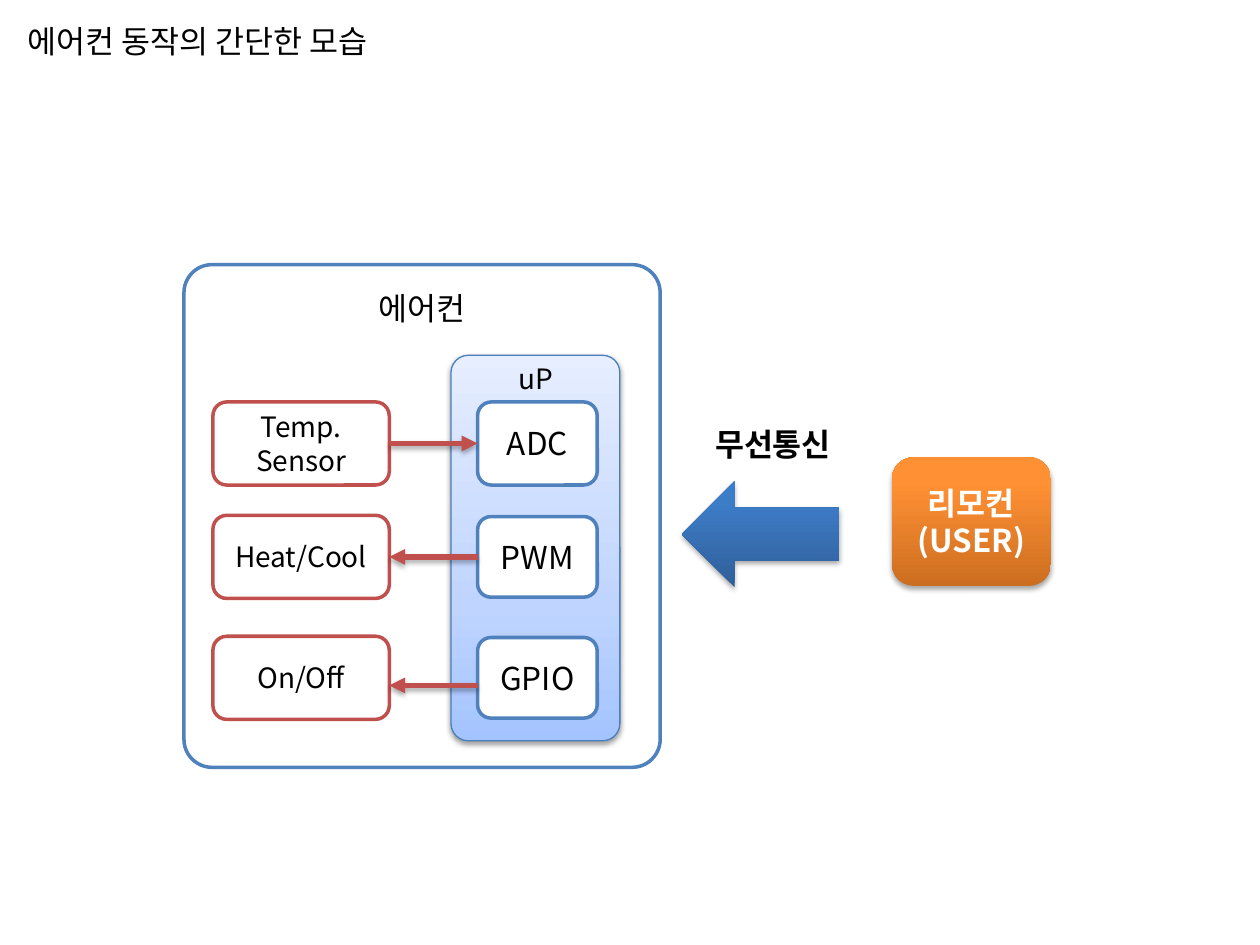
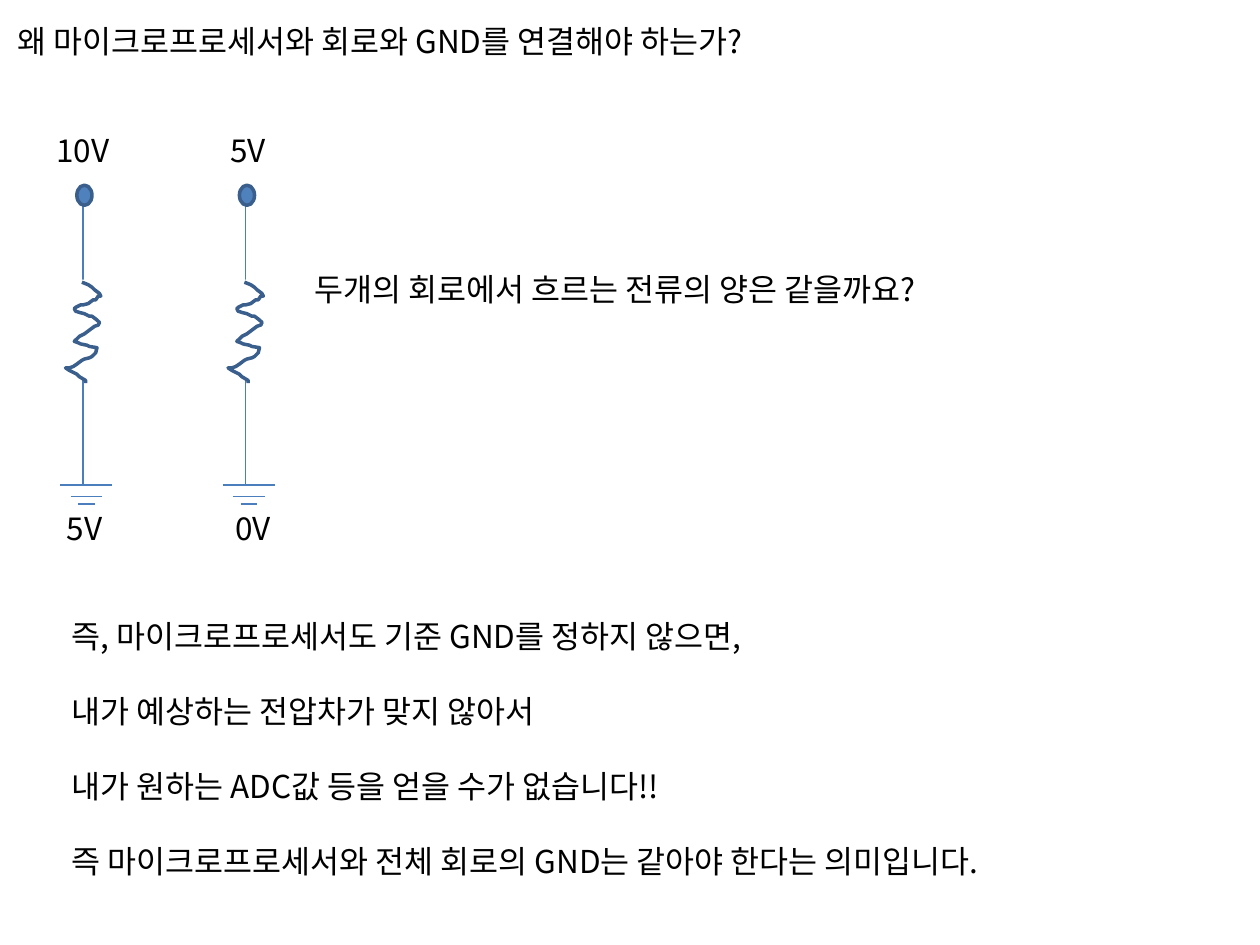
from dataclasses import dataclass

from pptx import Presentation
from pptx.dml.color import RGBColor
from pptx.enum.shapes import MSO_CONNECTOR, MSO_SHAPE
from pptx.enum.text import MSO_ANCHOR, MSO_AUTO_SIZE, PP_ALIGN
from pptx.oxml import parse_xml
from pptx.oxml.ns import nsdecls, qn
from pptx.util import Inches, Pt

ROUNDED = MSO_SHAPE.ROUNDED_RECTANGLE
RECTANGLE = MSO_SHAPE.RECTANGLE
OVAL = MSO_SHAPE.OVAL
LEFT_ARROW = MSO_SHAPE.LEFT_ARROW
STRAIGHT = MSO_CONNECTOR.STRAIGHT
LEFT, CENTER = PP_ALIGN.LEFT, PP_ALIGN.CENTER
TOP, MIDDLE = MSO_ANCHOR.TOP, MSO_ANCHOR.MIDDLE
NO_AUTOFIT = MSO_AUTO_SIZE.NONE
LEFT_SIDE, RIGHT_SIDE = 1, 3


@dataclass(frozen=True)
class Theme:
    font: str = "Noto Sans CJK KR"
    normal: float = 18
    small: float = 16
    line_ratio: float = 1.19
    black: str = "000000"
    white: str = "FFFFFF"
    blue: str = "4F81BD"
    wire: str = "4B7EBC"
    dark_blue: str = "3A5F8C"
    red: str = "C0504D"
    chip: tuple = ((0, "A4C4FF"), (35, "BFD4FF"), (100, "E6EEFF"))
    orange: tuple = ((0, "CC6E20"), (80, "FF9034"), (100, "FF9136"))
    arrow: tuple = ((0, "2F5F99"), (80, "3D7CC7"), (100, "3A7CCB"))


THEME = Theme()

RESISTOR = (
    (0.23, 0), (0.28, 0.02), (0.31, 0.04), (0.33, 0.06), (0.37, 0.09), (0.38, 0.11),
    (0.36, 0.11), (0.34, 0.14), (0.32, 0.14), (0.28, 0.17), (0.24, 0.18), (0.22, 0.18),
    (0.18, 0.2), (0.17, 0.21), (0.18, 0.23), (0.21, 0.24), (0.25, 0.25), (0.29, 0.27),
    (0.31, 0.27), (0.35, 0.3), (0.37, 0.32), (0.36, 0.34), (0.33, 0.35), (0.29, 0.38),
    (0.25, 0.41), (0.21, 0.43), (0.19, 0.45), (0.17, 0.47), (0.2, 0.48), (0.22, 0.49),
    (0.27, 0.5), (0.29, 0.51), (0.35, 0.52), (0.34, 0.56), (0.31, 0.59), (0.29, 0.6),
    (0.25, 0.61), (0.23, 0.62), (0.19, 0.65), (0.16, 0.67), (0.13, 0.68), (0.1, 0.68),
    (0.13, 0.7), (0.15, 0.71), (0.19, 0.73), (0.21, 0.75), (0.26, 0.78), (0.26, 0.8),
)


def color(value):
    return RGBColor.from_string(value)


def box(left, top, width, height):
    return [Inches(length) for length in (left, top, width, height)]


def write(shape, lines, size=THEME.normal, ink=THEME.black, bold=False,
          align=LEFT, anchor=TOP, inset=0.05, gap=0):
    frame = shape.text_frame
    frame.word_wrap = True
    frame.auto_size = NO_AUTOFIT
    frame.vertical_anchor = anchor
    frame.margin_left = frame.margin_right = Inches(0.1)
    frame.margin_top, frame.margin_bottom = Inches(inset), Inches(0.05)
    for index, line in enumerate(lines):
        paragraph = frame.add_paragraph() if index else frame.paragraphs[0]
        paragraph.alignment = align
        paragraph.line_spacing = Pt(round(size * THEME.line_ratio, 1))
        paragraph.space_before = Pt(gap if index else 0)
        run = paragraph.add_run()
        run.text = line
        run.font.size = Pt(size)
        run.font.bold = bold
        run.font.color.rgb = color(ink)
        run.font.name = THEME.font
        east_asian = parse_xml(f'<a:ea {nsdecls("a")} typeface="{THEME.font}"/>')
        run.font._element.append(east_asian)


def add_text(slide, bounds, text, **style):
    write(slide.shapes.add_textbox(*box(*bounds)), [text], **style)


def place_title(slide, bounds, text):
    title = slide.shapes.title
    title.left, title.top, title.width, title.height = box(*bounds)
    write(title, [text])


def shadow_into(effects, opacity=35, distance=1.8):
    effects.append(parse_xml(
        f'<a:outerShdw {nsdecls("a")} blurRad="{Pt(3.1)}" dist="{Pt(distance)}" '
        f'dir="5400000" rotWithShape="0"><a:srgbClr val="{THEME.black}">'
        f'<a:alpha val="{opacity * 1000}"/></a:srgbClr></a:outerShdw>'))


def paint_gradient(shape, stops):
    shape.fill.gradient()
    properties = shape.element.spPr
    stop_xml = "".join(f'<a:gs pos="{place * 1000}"><a:srgbClr val="{value}"/></a:gs>'
                       for place, value in stops)
    properties.replace(properties.find(qn("a:gradFill")), parse_xml(
        f'<a:gradFill {nsdecls("a")} rotWithShape="1"><a:gsLst>{stop_xml}</a:gsLst>'
        f'<a:lin ang="16200000" scaled="0"/></a:gradFill>'))


def style_outline(shape, line, weight):
    shape.shadow.inherit = False
    if line:
        shape.line.color.rgb = color(line)
        shape.line.width = Pt(weight)
    else:
        shape.line.fill.background()


def add_block(shapes, kind, bounds, fill, line=None, weight=2, corner=None):
    shape = shapes.add_shape(kind, *box(*bounds))
    if corner:
        shape.adjustments[0] = corner
    style_outline(shape, line, weight)
    if isinstance(fill, tuple):
        paint_gradient(shape, fill)
    else:
        shape.fill.solid()
        shape.fill.fore_color.rgb = color(fill)
    return shape


def cast_shadow(shape, **style):
    shadow_into(shape.element.spPr.find(qn("a:effectLst")), **style)


def add_line(shapes, start, end, line=THEME.wire, weight=0.75):
    ends = [Inches(length) for length in (*start, *end)]
    connector = shapes.add_connector(STRAIGHT, *ends)
    connector.line.color.rgb = color(line)
    connector.line.width = Pt(weight)
    connector.element.spPr.append(parse_xml(f'<a:effectLst {nsdecls("a")}/>'))
    return connector


def add_signal(slide, start, end):
    signal = add_line(slide.shapes, start, end, THEME.red, 3)
    properties = signal.element.spPr
    properties.find(qn("a:ln")).append(parse_xml(f'<a:tailEnd {nsdecls("a")} type="triangle"/>'))
    shadow_into(properties.find(qn("a:effectLst")))
    return signal


def draw_air_conditioner(slide, left, top):
    case = add_block(slide.shapes, ROUNDED, (left, top, 3.78, 3.99),
                     THEME.white, THEME.blue, corner=0.059)
    write(case, ["에어컨"], align=CENTER, inset=0.13)
    processor = add_block(slide.shapes, ROUNDED, (left + 2.12, top + 0.72, 1.34, 3.06),
                          THEME.chip, THEME.wire, 0.75, corner=0.102)
    cast_shadow(processor, opacity=38, distance=1.6)
    write(processor, ["uP"], size=THEME.small, align=CENTER, inset=0.01)

    device_edge, port_edge = left + 1.63, left + 2.33
    rows = (
        ("Temp. Sensor", "ADC", 1.42, 0.66, 1.42, True),
        ("Heat/Cool", "PWM", 2.32, 0.64, 2.32, False),
        ("On/Off", "GPIO", 3.28, 0.64, 3.34, False),
    )
    for device_name, port_name, middle, port_height, signal_offset, is_input in rows:
        center = top + middle
        port = add_block(slide.shapes, ROUNDED,
                         (port_edge, center - port_height / 2, 0.95, port_height),
                         THEME.white, THEME.blue)
        write(port, [port_name], align=CENTER, anchor=MIDDLE)
        device = add_block(slide.shapes, ROUNDED, (left + 0.23, center - 0.33, 1.4, 0.66),
                           THEME.white, THEME.red)
        write(device, [device_name], size=THEME.small, align=CENTER, anchor=MIDDLE)
        ends = [(device, device_edge, RIGHT_SIDE), (port, port_edge, LEFT_SIDE)]
        if not is_input:
            ends.reverse()
        (source, source_x, source_side), (target, target_x, target_side) = ends
        signal_y = top + signal_offset
        signal = add_signal(slide, (source_x, signal_y), (target_x, signal_y))
        if signal_offset == middle:
            signal.begin_connect(source, source_side)
            signal.end_connect(target, target_side)


def draw_remote_link(slide, left, top):
    add_text(slide, (left, top, 1.47, 0.4), "무선통신", bold=True, align=CENTER)
    arrow = add_block(slide.shapes, LEFT_ARROW, (left + 0.01, top + 0.49, 1.25, 0.84),
                      THEME.arrow)
    cast_shadow(arrow)
    remote = add_block(slide.shapes, ROUNDED, (left + 1.68, top + 0.3, 1.26, 1.02),
                       THEME.orange)
    cast_shadow(remote)
    write(remote, ["리모컨", "(USER)"], ink=THEME.white, bold=True,
          align=CENTER, anchor=MIDDLE)


def draw_circuit(slide, left, top, high, low, high_shift, low_shift):
    wiring = slide.shapes.add_group_shape().shapes
    wire_x = left + 0.24
    add_line(wiring, (wire_x, top + 0.64), (wire_x, top + 2.85))
    for offset, width in ((2.86, 0.41), (2.95, 0.25), (3.01, 0.13)):
        bar_left = left + 0.265 - width / 2
        add_line(wiring, (bar_left, top + offset), (bar_left + width, top + offset))
    add_block(wiring, OVAL, (left + 0.19, top + 0.48, 0.12, 0.16),
              THEME.blue, THEME.dark_blue)
    add_block(slide.shapes, RECTANGLE, (left, top + 1.23, 0.48, 0.79), THEME.white)

    points = [(Inches(left + x), Inches(top + 1.25 + y)) for x, y in RESISTOR]
    builder = slide.shapes.build_freeform(*points[0])
    builder.add_line_segments(points[1:], close=False)
    resistor = builder.convert_to_shape()
    resistor.fill.background()
    style_outline(resistor, THEME.dark_blue, 2)

    add_text(slide, (left + high_shift, top, 1.18, 0.4), high)
    add_text(slide, (left + low_shift, top + 3, 1.18, 0.4), low)


def place_conclusion(slide, bounds):
    body = slide.placeholders[1]
    body.left, body.top, body.width, body.height = box(*bounds)
    lines = [
        "즉, 마이크로프로세서도 기준 GND를 정하지 않으면,",
        "내가 예상하는 전압차가 맞지 않아서",
        "내가 원하는 ADC값 등을 얻을 수가 없습니다!!",
        "즉 마이크로프로세서와 전체 회로의 GND는 같아야 한다는 의미입니다.",
    ]
    write(body, lines, gap=21.4)
    for paragraph in body.text_frame.paragraphs:
        properties = paragraph._p.get_or_add_pPr()
        properties.set("marL", "0")
        properties.set("indent", "0")
        properties.append(parse_xml(f'<a:buNone {nsdecls("a")}/>'))


def build_overview(presentation):
    slide = presentation.slides.add_slide(presentation.slide_layouts[5])
    place_title(slide, (0.12, 0.13, 5, 0.4), "에어컨 동작의 간단한 모습")
    draw_air_conditioner(slide, 1.46, 2.1)
    draw_remote_link(slide, 5.4, 3.33)


def build_ground(presentation):
    slide = presentation.slides.add_slide(presentation.slide_layouts[1])
    place_title(slide, (0.04, 0.13, 6.66, 0.4),
                "왜 마이크로프로세서와 회로와 GND를 연결해야 하는가?")
    add_text(slide, (2.4, 2.1, 7.4, 0.71), "두개의 회로에서 흐르는 전류의 양은 같을까요?")
    draw_circuit(slide, 0.42, 0.99, "10V", "5V", -0.07, 0.01)
    draw_circuit(slide, 1.71, 0.99, "5V", "0V", 0.02, 0.06)
    place_conclusion(slide, (0.47, 4.85, 9.4, 2.22))


def main():
    presentation = Presentation()
    presentation.slide_width, presentation.slide_height = Inches(10), Inches(7.5)
    build_overview(presentation)
    build_ground(presentation)
    presentation.save("out.pptx")


if __name__ == "__main__":
    main()
